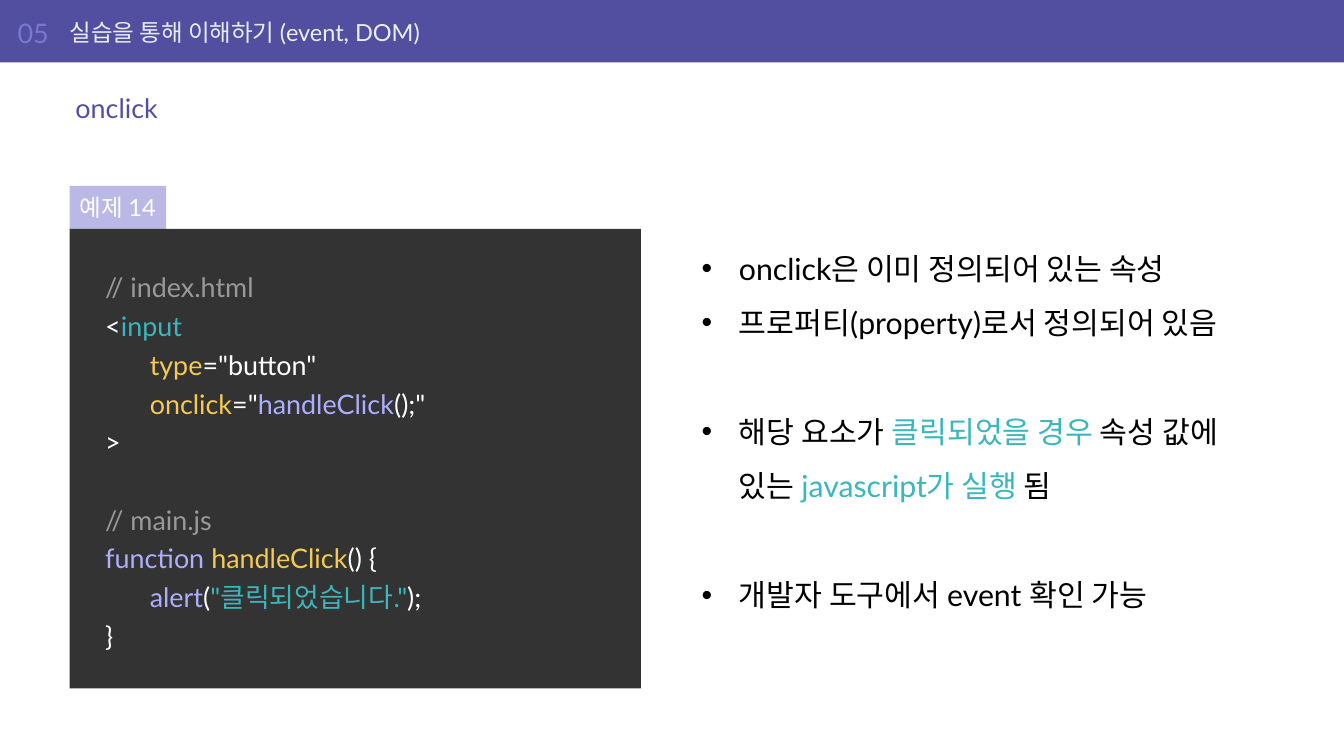
import lxml.etree
import pptx
import pptx.dml.color
import pptx.enum.shapes
import pptx.enum.text
import pptx.oxml.ns
import pptx.util

Cm = pptx.util.Cm
Pt = pptx.util.Pt
RGBColor = pptx.dml.color.RGBColor
ANCHOR = pptx.enum.text.MSO_ANCHOR
ALIGN = pptx.enum.text.PP_ALIGN

INDIGO = RGBColor(0x52, 0x4F, 0xA1)
PERIWINKLE = RGBColor(0x79, 0x79, 0xD3)
PALE = RGBColor(0xEC, 0xEE, 0xF6)
LILAC = RGBColor(0xBA, 0xB9, 0xE6)
CHARCOAL = RGBColor(0x33, 0x33, 0x33)
GRAY = RGBColor(0x99, 0x99, 0x99)
WHITE = RGBColor(0xFF, 0xFF, 0xFF)
BLACK = RGBColor(0x00, 0x00, 0x00)
TEAL = RGBColor(0x3A, 0xB7, 0xBC)
YELLOW = RGBColor(0xF5, 0xCA, 0x52)
VIOLET = RGBColor(0xAE, 0xAE, 0xFF)

FONT = "Lato"
SLIDE_WIDTH, SLIDE_HEIGHT = Cm(56.44), Cm(31.75)
MARGIN = Cm(2.92)
LABEL_HEIGHT = Cm(1.96)
CODE_INDENT = Cm(1.87)
BULLET_INDENT = Cm(1.57)

CODE = [
    dict(runs=[("// index.html", GRAY)]),
    dict(runs=[("<", WHITE), ("input", TEAL)]),
    dict(runs=[("type", YELLOW), ('="button"', WHITE)], left=CODE_INDENT),
    dict(runs=[("onclick", YELLOW), ('="', WHITE), ("handleClick", VIOLET), ('();"', WHITE)],
         left=CODE_INDENT),
    dict(runs=[(">", WHITE)]),
    dict(runs=[("// main.js", GRAY)], before=46),
    dict(runs=[("function ", VIOLET), ("handleClick", YELLOW), ("() {", WHITE)]),
    dict(runs=[("alert", VIOLET), ("(", WHITE), ('"클릭되었습니다."', TEAL), (");", WHITE)],
         left=CODE_INDENT),
    dict(runs=[("}", WHITE)]),
]

NOTES = [
    dict(runs=[("onclick은 이미 정의되어 있는 속성", BLACK)]),
    dict(runs=[("프로퍼티(property)로서 정의되어 있음", BLACK)]),
    dict(runs=[("해당 요소가 ", BLACK), ("클릭되었을 경우", TEAL), (" 속성 값에 있는 ", BLACK),
               ("javascript가 실행", TEAL), (" 됨", BLACK)], before=65),
    dict(runs=[("개발자 도구에서 event 확인 가능", BLACK)], before=65),
]


def add_panel(slide, box, fill):
    """Add a plain filled rectangle."""
    panel = slide.shapes.add_shape(pptx.enum.shapes.MSO_SHAPE.RECTANGLE, *box)
    panel.shadow.inherit = False
    panel.fill.solid()
    panel.fill.fore_color.rgb = fill
    panel.line.fill.background()
    return panel


def set_text(shape, lines, *, size, anchor=ANCHOR.TOP, align=ALIGN.LEFT, spacing=1.0,
             insets=(0.25, 0.13, 0.25, 0.13), wrap=True, bullet=False):
    """Write lines of coloured runs into a shape with the given format."""
    frame = shape.text_frame
    frame.word_wrap = wrap
    frame.vertical_anchor = anchor
    frame.margin_left, frame.margin_top, frame.margin_right, frame.margin_bottom = map(Cm, insets)
    for index, line in enumerate(lines):
        paragraph = frame.add_paragraph() if index else frame.paragraphs[0]
        paragraph.alignment = align
        paragraph.line_spacing = spacing
        paragraph.space_before = Pt(line.get("before", 0))
        properties = paragraph._p.get_or_add_pPr()
        left = BULLET_INDENT if bullet else line.get("left", 0)
        properties.set("marL", str(left))
        properties.set("indent", str(-left if bullet else 0))
        if bullet:
            qn = pptx.oxml.ns.qn
            lxml.etree.SubElement(properties, qn("a:buFont"), typeface="Arial")
            lxml.etree.SubElement(properties, qn("a:buChar"), char="•")
        for text, color in line["runs"]:
            run = paragraph.add_run()
            run.text = text
            run.font.name = FONT
            run.font.size = Pt(size)
            run.font.color.rgb = color


def add_label(slide, box, text, color, size, left_inset=0.0):
    """Add one vertically centred line of text."""
    set_text(slide.shapes.add_textbox(*box), [dict(runs=[(text, color)])], size=size,
             anchor=ANCHOR.MIDDLE, insets=(left_inset, 0.13, 0.25, 0.13))


def add_header(slide, left, top, width, height):
    """Draw the title band with the chapter number and title."""
    add_panel(slide, (left, top, width, height), INDIGO)
    label_top = top + Cm(0.38)
    add_label(slide, (left + Cm(0.74), label_top, Cm(2.2), LABEL_HEIGHT), "05", PERIWINKLE, 32)
    add_label(slide, (left + MARGIN, label_top, width - 2 * MARGIN, LABEL_HEIGHT),
              "실습을 통해 이해하기 (event, DOM)", PALE, 28)


def add_example(slide, left, top, width, height):
    """Draw the example tag on top of its code panel."""
    tag_height = Cm(1.8)
    tag = add_panel(slide, (left, top, Cm(4.06), tag_height), LILAC)
    set_text(tag, [dict(runs=[("예제 14", WHITE)])], size=28, anchor=ANCHOR.MIDDLE,
             align=ALIGN.CENTER, insets=(0.25, 0.3, 0.25, 0.3))
    code = add_panel(slide, (left, top + tag_height, width, height - tag_height), CHARCOAL)
    set_text(code, CODE, size=32, spacing=1.2, insets=(1.5,) * 4, wrap=False)


def add_notes(slide, left, top, width, height):
    """Draw the bulleted explanation."""
    set_text(slide.shapes.add_textbox(left, top, width, height), NOTES, size=36,
             spacing=1.5, bullet=True)


def main():
    """Build and save the slide."""
    deck = pptx.Presentation()
    deck.slide_width, deck.slide_height = SLIDE_WIDTH, SLIDE_HEIGHT
    slide = deck.slides.add_slide(deck.slide_layouts[6])
    add_header(slide, 0, 0, SLIDE_WIDTH, Cm(2.62))
    add_label(slide, (MARGIN, Cm(3.56), Cm(50.6), LABEL_HEIGHT), "onclick", INDIGO, 32, 0.25)
    add_example(slide, MARGIN, Cm(7.81), Cm(24), Cm(21.1))
    add_notes(slide, Cm(29.21), Cm(9.6), Cm(24.31), Cm(20.2))
    deck.save("out.pptx")


if __name__ == "__main__":
    main()
